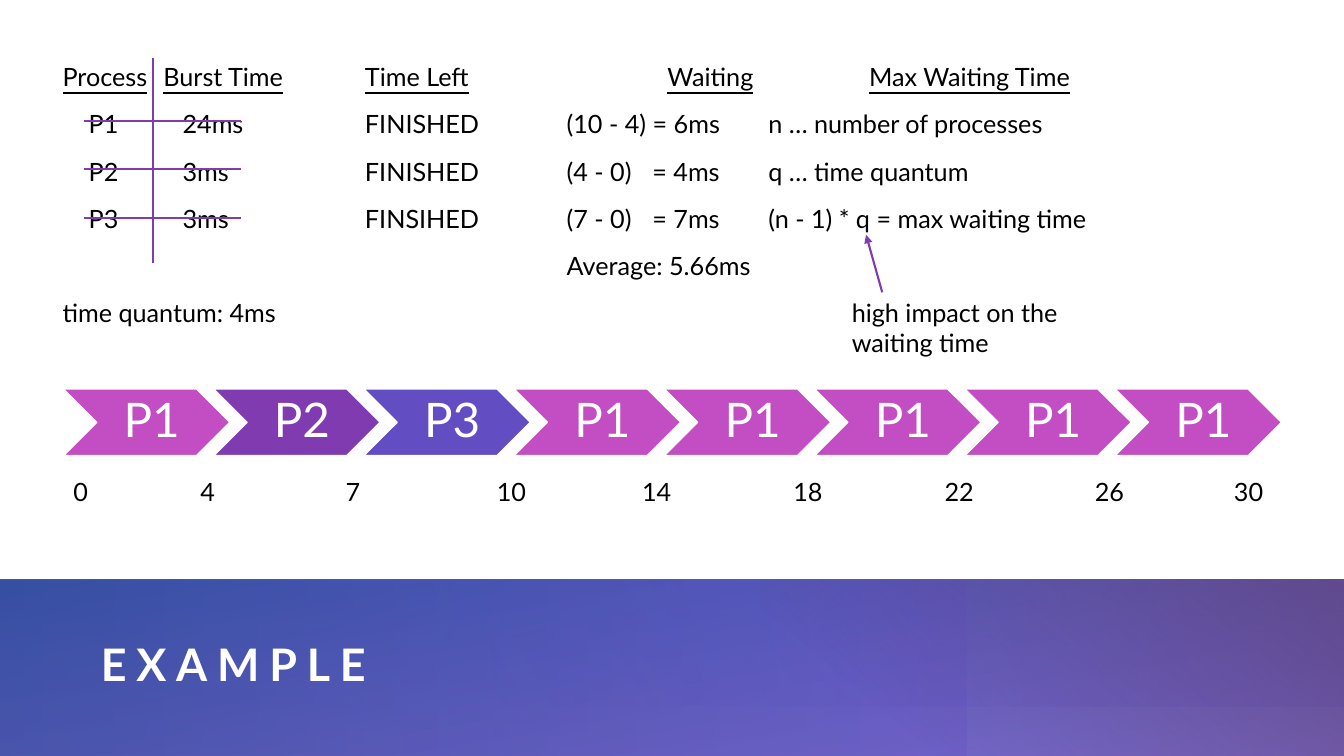
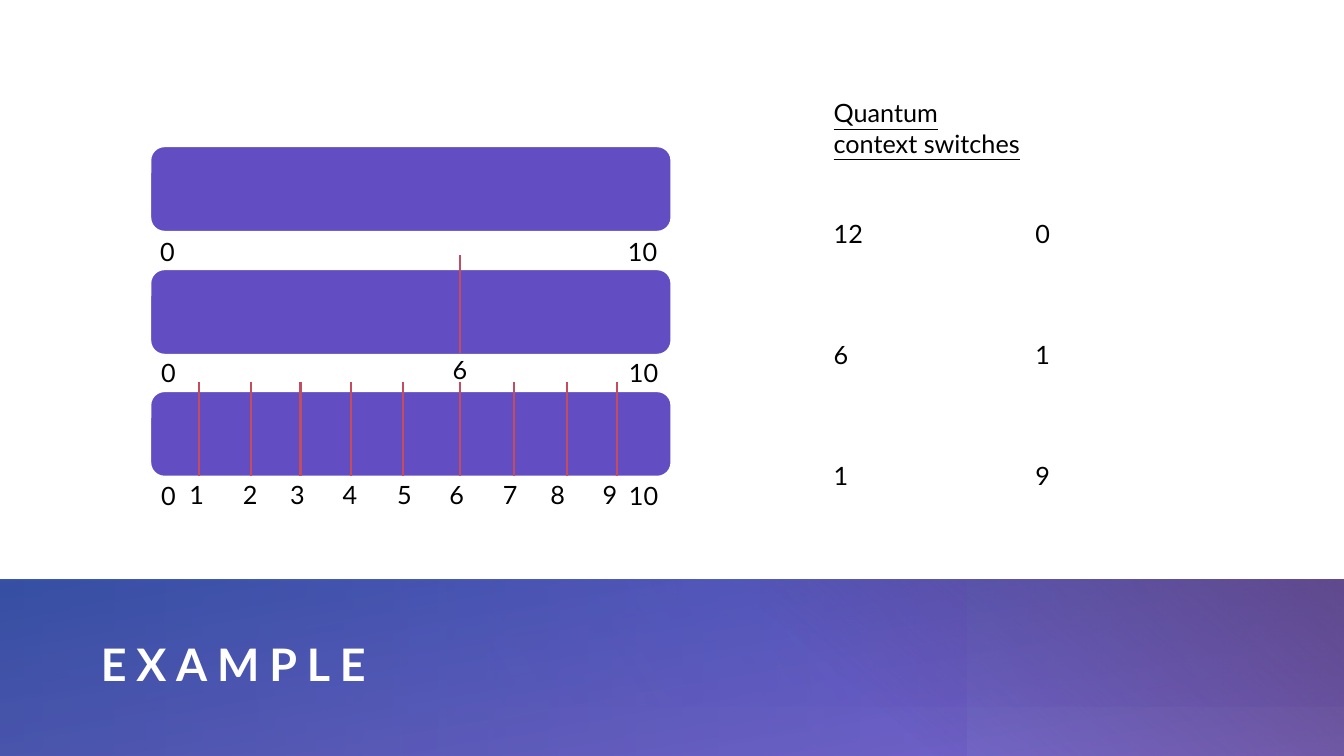
import pptx
import pptx.util
import pptx.dml.color
import pptx.enum.shapes
import pptx.enum.text
import pptx.oxml
import pptx.oxml.ns
import lxml.etree

Inches = pptx.util.Inches
Pt = pptx.util.Pt
Color = pptx.dml.color.RGBColor.from_string
Kind = pptx.enum.shapes.MSO_SHAPE
Text = pptx.enum.text
qn = pptx.oxml.ns.qn


class Look:
    font = "Lato"
    ink, white = "000000", "FFFFFF"
    pink, plum, blue, red = "C34DC2", "813BB1", "624DC3", "C34D5F"
    head = {"size": Pt(32), "name": font, "bold": True}
    body = {"size": Pt(18), "name": font}
    step = {"size": Pt(34), "name": font}
    flush = {"margin_left": 0, "margin_right": 0, "margin_top": 0,
             "margin_bottom": 0, "word_wrap": True,
             "auto_size": Text.MSO_AUTO_SIZE.NONE}
    bands = [
        (-0.01, 5.75, 13.35, 1.75, 0, 260, [(0, "624DC3", 83), (100, "3B57B1", 100)]),
        (4.86, 5.76, 8.48, 1.25, 180, 330, [(0, "624DC3", 30), (99, "624DC3", 0)]),
        (-0.01, 5.76, 9.6, 1.74, 0, 0, [(0, "2C4185", 31), (99, "624DC3", 23)]),
        (7.54, 5.75, 5.8, 1.75, 0, 310, [(22, "604274", 0), (99, "604274", 66)]),
    ]


def write(frame, lines, fmt=Look.body, color=Look.ink, **para):
    frame.word_wrap = True
    for i, (text, tabs, under, before) in enumerate(lines):
        p = frame.paragraphs[0] if i == 0 else frame.add_paragraph()
        p.space_before = Pt(before)
        for key, val in para.items():
            setattr(p, key, val)
        prop = p._p.get_or_add_pPr()
        prop.set("marL", "0")
        lxml.etree.SubElement(prop, qn("a:buNone"))
        if tabs:
            stops = lxml.etree.SubElement(prop, qn("a:tabLst"))
            for x in tabs:
                lxml.etree.SubElement(stops, qn("a:tab"), pos=str(Inches(x)), algn="l")
        for j, cell in enumerate(text.split("\t")):
            for part, line in (("\t" if j else "", False), (cell, under)):
                if part:
                    run = p.add_run()
                    run.text = part
                    for key, val in fmt.items():
                        setattr(run.font, key, val)
                    run.font.underline = line
                    run.font.color.rgb = Color(color)


def draw(slide, x1, y1, x2, y2, color):
    line = slide.shapes.add_connector(
        pptx.enum.shapes.MSO_CONNECTOR.STRAIGHT,
        Inches(x1), Inches(y1), Inches(x2), Inches(y2))
    line.line.color.rgb = Color(color)
    line.line.width = Pt(1.5)
    lxml.etree.SubElement(line.element.spPr, qn("a:effectLst"))
    return line


deck = pptx.Presentation()
deck.slide_width = Inches(13.33)
deck.slide_height = Inches(7.5)
for level in deck.slide_master.element.iter(qn("a:lvl1pPr")):
    level.attrib.pop("indent", None)
    level.attrib.pop("marL", None)
robin = deck.slides.add_slide(deck.slide_layouts[1])
switch = deck.slides.add_slide(deck.slide_layouts[5])

for slide in (robin, switch):
    title = slide.shapes.title
    for x, y, w, h, turn, angle, stops in Look.bands:
        band = slide.shapes.add_shape(
            Kind.RECTANGLE, Inches(x), Inches(y), Inches(w), Inches(h))
        band.rotation = turn
        band.shadow.inherit = False
        band.line.fill.background()
        band.fill.background()
        marks = "".join(
            f'<a:gs pos="{pos * 1000}"><a:srgbClr val="{rgb}">'
            f'<a:alpha val="{alpha * 1000}"/></a:srgbClr></a:gs>'
            for pos, rgb, alpha in stops)
        grad = pptx.oxml.parse_xml(
            f'<a:gradFill {pptx.oxml.ns.nsdecls("a")} rotWithShape="1">'
            f'<a:gsLst>{marks}</a:gsLst>'
            f'<a:lin ang="{angle * 60000}" scaled="0"/></a:gradFill>')
        props = band.element.spPr
        props.replace(props.find(qn("a:noFill")), grad)
        title.element.addprevious(band.element)
    title.left, title.top = Inches(1), Inches(6.13)
    title.width, title.height = Inches(11.7), Inches(0.9)
    frame = title.text_frame
    for key, val in Look.flush.items():
        setattr(frame, key, val)
    frame.vertical_anchor = Text.MSO_ANCHOR.MIDDLE
    write(frame, [("EXAMPLE", [], False, 0)], Look.head, Look.white,
          alignment=Text.PP_ALIGN.LEFT)
    frame.paragraphs[0].runs[0].font._element.set("spc", "700")

body = robin.placeholders[1]
body.left, body.top = Inches(0.62), Inches(0.58)
body.width, body.height = Inches(10.19), Inches(2.73)
for key, val in Look.flush.items():
    setattr(body.text_frame, key, val)
cols = [0.26, 1.19, 3, 5, 7]
wide = [0.26, 1.19, 3, 5, 5.85, 7]
write(body.text_frame, [
    ("Process\tBurst Time\tTime Left\tWaiting\tMax Waiting Time", [1, 3, 6, 8], True, 10),
    ("\tP1\t24ms\tFINISHED\t(10 - 4) = 6ms\tn … number of processes", cols, False, 10),
    ("\tP2\t3ms\tFINISHED\t(4 - 0)\t= 4ms\tq … time quantum", wide, False, 10),
    ("\tP3\t3ms\tFINSIHED\t(7 - 0)\t= 7ms\t(n - 1) * q = max waiting time", wide, False, 10),
    ("\tAverage: 5.66ms", [5], False, 10),
    ("time quantum: 4ms", [], False, 10),
], line_spacing=1.1)

draw(robin, 1.52, 0.58, 1.52, 2.61, Look.plum)
for i in range(3):
    y = 1.2 + 0.48 * i
    draw(robin, 2.39, y, 0.83, y, Look.plum)
arrow = draw(robin, 8.75, 2.9, 8.59, 2.33, Look.plum)
lxml.etree.SubElement(arrow.line._get_or_add_ln(), qn("a:tailEnd"), type="triangle")

hues = {"P1": Look.pink, "P2": Look.plum, "P3": Look.blue}
for i, name in enumerate(["P1", "P2", "P3"] + ["P1"] * 5):
    step = robin.shapes.add_shape(
        Kind.CHEVRON, Inches(0.63 + 1.49 * i), Inches(3.86), Inches(1.65), Inches(0.66))
    step.shadow.inherit = False
    step.fill.solid()
    step.fill.fore_color.rgb = Color(hues[name])
    step.line.color.rgb = Color(Look.white)
    step.line.width = Pt(1)
    frame = step.text_frame
    frame.margin_left, frame.margin_right = Inches(0.15), Inches(0.05)
    frame.vertical_anchor = Text.MSO_ANCHOR.MIDDLE
    write(frame, [(name, [], False, 0)], Look.step, Look.white,
          alignment=Text.PP_ALIGN.CENTER, line_spacing=0.9)

for y in (1.45, 2.67, 3.88):
    bar = switch.shapes.add_shape(
        Kind.ROUNDED_RECTANGLE, Inches(1.49), Inches(y), Inches(5.17), Inches(0.85))
    bar.shadow.inherit = False
    bar.fill.solid()
    bar.fill.fore_color.rgb = Color(Look.blue)
    bar.line.color.rgb = Color(Look.white)
    bar.line.width = Pt(1.5)

draw(switch, 4.56, 2.53, 4.56, 3.5, Look.red)
for x in (1.97, 2.49, 2.98, 3.48, 4, 4.56, 5.1, 5.62, 6.12):
    draw(switch, x, 3.79, x, 4.72, Look.red)

times = [1.26, 2.7, 4.2, 5.64, 7.14, 8.64, 10.13, 11.51]
ticks = [0.53, 1, 1.52, 2.06, 2.58, 3.11, 3.58, 4.1]
ends = [("0\t10", [4.64], False, 0)]
notes = [
    (robin, 0.63, 4.68, 12.07, 0.4,
     [("0\t4\t7\t10\t14\t18\t22\t26\t30", times, False, 0)]),
    (robin, 8.35, 2.9, 2.31, 0.71,
     [("high impact on the waiting time", [], False, 0)]),
    (switch, 1.49, 2.3, 5.17, 0.4, ends),
    (switch, 1.5, 3.5, 5.17, 0.4, ends),
    (switch, 1.5, 4.72, 5.17, 0.4, ends),
    (switch, 4.39, 3.47, 0.4, 0.4, [("6", [], False, 0)]),
    (switch, 1.78, 4.71, 4.53, 0.4,
     [("1\t2\t3\t4\t5\t6\t7\t8\t9", ticks, False, 0)]),
    (switch, 8.17, 0.92, 3.97, 3.74, [
        ("Quantum", [], True, 0),
        ("context switches", [], True, 0),
        ("12\t0", [2], False, 43.2),
        ("6\t1", [2], False, 64.8),
        ("1\t9", [2], False, 64.8)]),
]
for slide, x, y, w, h, lines in notes:
    box = slide.shapes.add_textbox(Inches(x), Inches(y), Inches(w), Inches(h))
    write(box.text_frame, lines)

deck.save("out.pptx")
